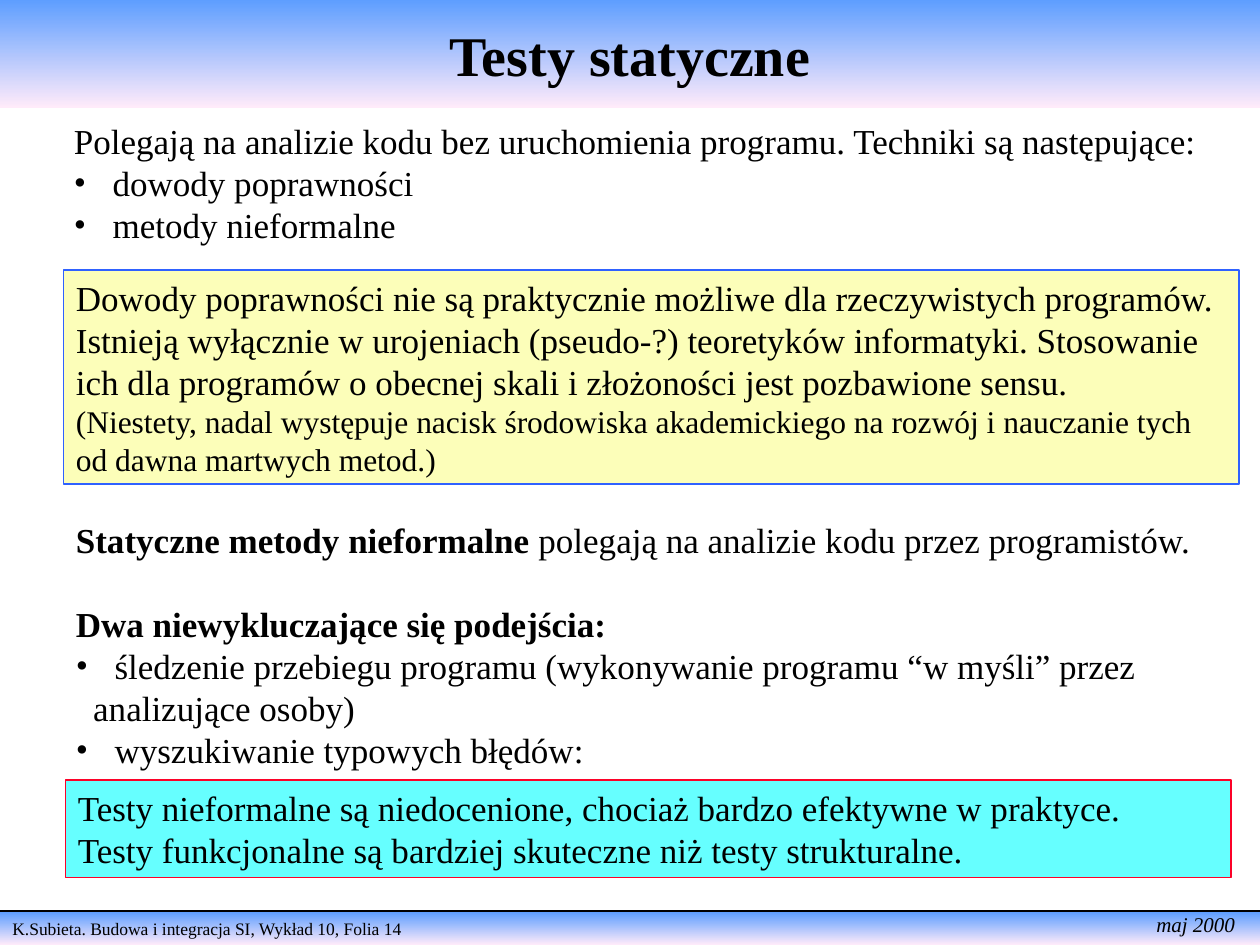
from lxml.etree import SubElement
from pptx import Presentation
from pptx.dml.color import RGBColor as Rgb
from pptx.enum.shapes import MSO_CONNECTOR as Connector, MSO_SHAPE as Shape
from pptx.enum.text import MSO_ANCHOR as Anchor, MSO_AUTO_SIZE as AutoSize, PP_ALIGN as Align
from pptx.oxml.ns import qn
from pptx.util import Cm, Pt

COLORS = {
    "text": "000000",
    "band_top": "5E9EFF",
    "band_bottom": "FFEBFA",
    "warning_fill": "FCFEB9",
    "warning_line": "2F61FF",
    "summary_fill": "66FFFF",
    "summary_line": "FC0128",
}
FONT = "Times New Roman"
WIDTH, HEIGHT = 25.4, 19.05


def color(name):
    """Return the named colour of the palette."""
    return Rgb.from_string(COLORS[name])


def indent(para, left, hanging=0.0, bullet=None):
    """Indent a paragraph and optionally give it a bullet."""
    props = para._p.get_or_add_pPr()
    props.set("marL", str(Cm(left)))
    props.set("indent", str(Cm(-hanging)))
    if bullet:
        tint = SubElement(props, qn("a:buClr"))
        SubElement(tint, qn("a:srgbClr")).set("val", COLORS["text"])
        SubElement(props, qn("a:buFont")).set("typeface", FONT)
        SubElement(props, qn("a:buChar")).set("char", bullet)


def write(box, lines, anchor=Anchor.TOP, wrap=True, grow=True):
    """Write paragraphs given as (spans, options) pairs into a box."""
    frame = box.text_frame
    frame.word_wrap = wrap
    frame.auto_size = AutoSize.SHAPE_TO_FIT_TEXT if grow else AutoSize.NONE
    frame.vertical_anchor = anchor
    for number, (spans, options) in enumerate(lines):
        para = frame.add_paragraph() if number else frame.paragraphs[0]
        para.alignment = options.get("align", Align.LEFT)
        if "before" in options:
            para.space_before = Pt(options["before"])
        if options.get("bullet"):
            indent(para, 0.78, 0.78, "•")
        elif "left" in options:
            indent(para, options["left"])
        font = para.font
        font.name, font.size = FONT, Pt(options.get("size", 20))
        font.italic = options.get("italic", False)
        font.color.rgb = color("text")
        for text, bold in spans:
            span = para.add_run()
            span.text = text
            span.font.bold = bold


def line(text, bold=False, **options):
    """Describe a paragraph that has a single span."""
    return [(text, bold)], options


def add_panel(page, box, fill, outline):
    """Add a filled rectangle with a thin outline."""
    panel = page.shapes.add_shape(Shape.RECTANGLE, *map(Cm, box))
    panel.shadow.inherit = False
    panel.fill.solid()
    panel.fill.fore_color.rgb = color(fill)
    panel.line.color.rgb = color(outline)
    panel.line.width = Pt(1)
    return panel


def add_band(page, box):
    """Add a rectangle shaded from top to bottom."""
    band = page.shapes.add_shape(Shape.RECTANGLE, *map(Cm, box))
    band.shadow.inherit = False
    band.line.fill.background()
    band.fill.gradient()
    band.fill.gradient_angle = 270
    for stop, name in zip(band.fill.gradient_stops, ("band_top", "band_bottom")):
        stop.color.rgb = color(name)
    return band


def add_footer(page, left, top, width, height):
    """Add the footer band with its rule, source and date."""
    band = add_band(page, (left, top, width, height))
    write(band, [line("K.Subieta. Budowa i integracja SI, Wykład 10, Folia 14", size=10)], grow=False)
    rule = page.shapes.add_connector(
        Connector.STRAIGHT, Cm(left), Cm(top - 0.03), Cm(left + width), Cm(top - 0.03))
    rule.line.color.rgb = color("text")
    rule.line.width = Pt(1)
    SubElement(rule._element.spPr, qn("a:effectLst"))
    date = page.shapes.add_textbox(Cm(left + width - 2.34), Cm(top - 0.13), Cm(2.34), Cm(0.76))
    write(date, [line("maj 2000", size=12, italic=True)], grow=False)


def add_title(page, box):
    """Add the title band."""
    title = line("Testy statyczne", True, size=32, align=Align.CENTER)
    write(add_band(page, box), [title], Anchor.MIDDLE, grow=False)


def add_introduction(page, box):
    """Add the definition and the list of techniques."""
    write(page.shapes.add_textbox(*map(Cm, box)), [
        line("Polegają na analizie kodu bez uruchomienia programu. Techniki są następujące:"),
        line("dowody poprawności", bullet=True),
        line("metody nieformalne", bullet=True),
    ], wrap=False)


def add_warning(page, box):
    """Add the panel about correctness proofs."""
    write(add_panel(page, box, "warning_fill", "warning_line"), [
        line("Dowody poprawności nie są praktycznie możliwe dla rzeczywistych programów."),
        line("Istnieją wyłącznie w urojeniach (pseudo-?) teoretyków informatyki. Stosowanie "
             "ich dla programów o obecnej skali i złożoności jest pozbawione sensu."),
        line("(Niestety, nadal występuje nacisk środowiska akademickiego na rozwój i nauczanie "
             "tych od dawna martwych metod.)", size=18),
    ])


def add_methods(page, box):
    """Add the text on informal static methods."""
    write(page.shapes.add_textbox(*map(Cm, box)), [
        ([("Statyczne metody nieformalne", True),
          (" polegają na analizie kodu przez programistów.", False)], {}),
        line("Dwa niewykluczające się podejścia:", True, before=24),
        line("śledzenie przebiegu programu (wykonywanie programu “w myśli” przez", bullet=True),
        line("analizujące osoby)", left=0.35),
        line("wyszukiwanie typowych błędów:", bullet=True),
    ])


def add_summary(page, box):
    """Add the closing panel."""
    write(add_panel(page, box, "summary_fill", "summary_line"), [
        line("Testy nieformalne są niedocenione, chociaż bardzo efektywne w praktyce."),
        line("Testy funkcjonalne są bardziej skuteczne niż testy strukturalne."),
    ])


def main():
    """Build the slide and save the deck."""
    deck = Presentation()
    deck.slide_width, deck.slide_height = Cm(WIDTH), Cm(HEIGHT)
    page = deck.slides.add_slide(deck.slide_layouts[6])
    add_footer(page, 0, 18.39, WIDTH, HEIGHT - 18.39)
    add_title(page, (0, 0, WIDTH, 2.17))
    add_introduction(page, (1.24, 2.29, 23.19, 2.79))
    add_warning(page, (1.28, 5.44, 23.7, 4.32))
    add_methods(page, (1.28, 10.33, 23.67, 5.33))
    add_summary(page, (1.32, 15.73, 23.5, 1.96))
    deck.save("out.pptx")


if __name__ == "__main__":
    main()
